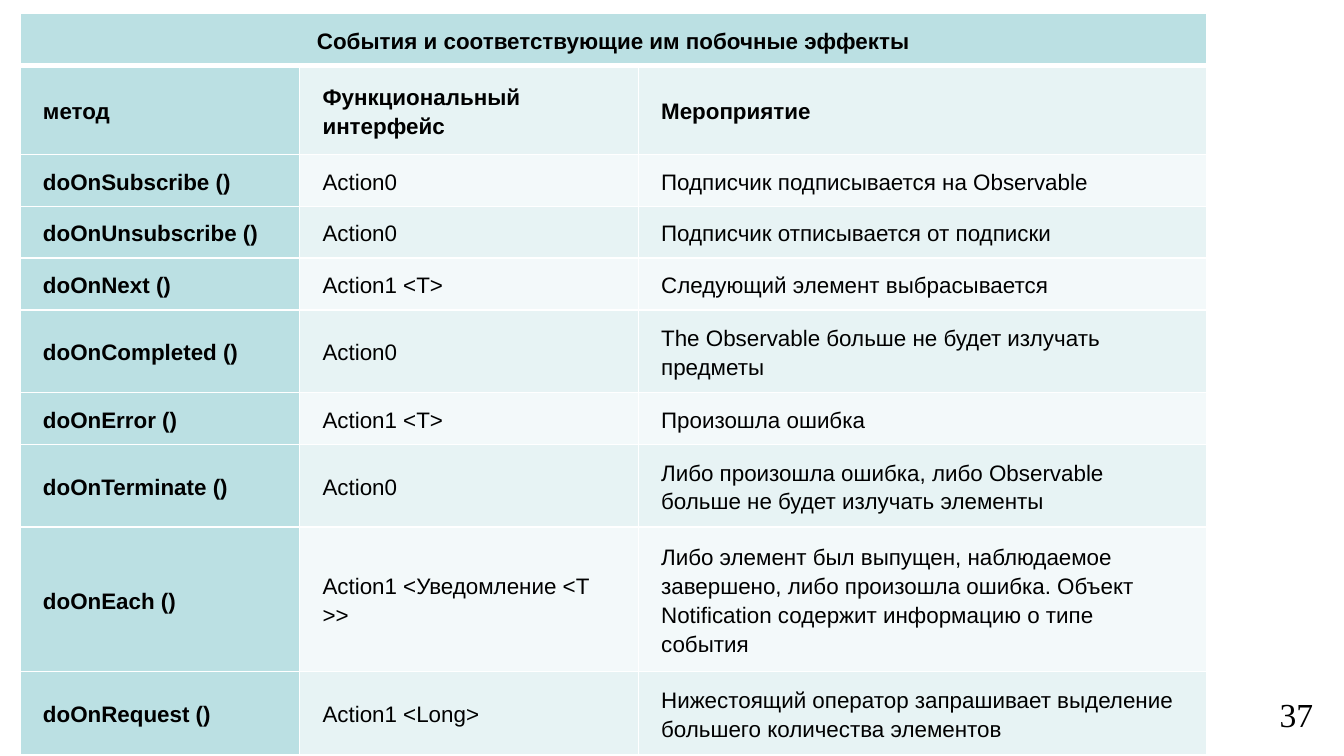
from typing import NamedTuple

from lxml.etree import SubElement as Sub
from pptx import Presentation
from pptx.dml.color import RGBColor
from pptx.enum.text import MSO_ANCHOR as Anchor, PP_ALIGN as Align
from pptx.oxml.ns import qn
from pptx.util import Inches, Pt

WIDE = 10
HIGH = WIDE * 9 / 16
TEAL, MIST, PALE = "BBE0E3", "E7F3F4", "F3F9FA"
WHITE, BLACK = "FFFFFF", "000000"
COLS = (2.08, 2.52, 4.23)
ONE, TWO, FOUR = 0.37, 0.58, 1.01  # row heights by lines of text
HARD = chr(160)  # no-break space
TITLE = "События и соответствующие им побочные эффекты"


class Row(NamedTuple):
    method: str
    face: str
    event: str
    high: float = ONE


ROWS = [
    Row(TITLE, "", "", 0.39),
    Row("метод", "Функциональный интерфейс", "Мероприятие", 0.66),
    Row("doOnSubscribe ()", "Action0", "Подписчик подписывается на Observable"),
    Row("doOnUnsubscribe ()", "Action0", "Подписчик отписывается от подписки"),
    Row("doOnNext ()", "Action1 <Т>", "Следующий элемент выбрасывается"),
    Row("doOnCompleted ()", "Action0",
        "The Observable больше не будет излучать предметы", TWO),
    Row("doOnError ()", "Action1 <Т>", "Произошла ошибка"),
    Row("doOnTerminate ()", "Action0",
        "Либо произошла ошибка, либо Observable больше не будет излучать элементы",
        TWO),
    Row("doOnEach ()", "Action1 <Уведомление <T >>",
        "Либо элемент был выпущен, наблюдаемое завершено, либо произошла ошибка."
        f"{HARD}Объект Notification содержит информацию о типе события", FOUR),
    Row("doOnRequest ()", "Action1 <Long>",
        "Нижестоящий оператор запрашивает выделение большего количества элементов",
        TWO),
]


def tint(code: str) -> RGBColor:
    return RGBColor.from_string(code)


def write(frame, text: str, *, size: float = 12, font: str = "Arial",
          bold: bool = False, align=Align.LEFT, space: float = 1.0) -> None:
    para = frame.paragraphs[0]
    para.alignment, para.line_spacing = align, space
    run = para.add_run()
    run.text = text
    run.font.size, run.font.name, run.font.bold = Pt(size), font, bold
    run.font.color.rgb = tint(BLACK)


def edge(cell, sides: dict[str, float]) -> None:
    """Draw white borders; they must precede the fill in the cell's XML."""
    props = cell._tc.get_or_add_tcPr()
    for side, width in sides.items():
        line = Sub(props, qn(f"a:ln{side}"), w=str(Pt(width)))
        Sub(Sub(line, qn("a:solidFill")), qn("a:srgbClr"), val=WHITE)


def paint(cell, color: str, top: float, base: float) -> None:
    edge(cell, {"L": 1, "R": 1, "T": top, "B": base})
    cell.fill.solid()
    cell.fill.fore_color.rgb = tint(color)
    cell.vertical_anchor = Anchor.MIDDLE
    cell.margin_left = cell.margin_right = Inches(0.17)
    cell.margin_top = cell.margin_bottom = Pt(5.6)


def draw_table(slide) -> None:
    high = sum(row.high for row in ROWS)
    table = slide.shapes.add_table(
        len(ROWS), len(COLS), Inches(0.15), Inches(0.1),
        Inches(sum(COLS)), Inches(high)).table
    for col, wide in zip(table.columns, COLS):
        col.width = Inches(wide)
    table.cell(0, 0).merge(table.cell(0, len(COLS) - 1))
    for r, row in enumerate(ROWS):
        table.rows[r].height = Inches(row.high)
        band = MIST if r % 2 else PALE
        for c, text in enumerate(row[:len(COLS)]):
            cell = table.cell(r, c)
            paint(cell, TEAL if r == 0 or c == 0 else band,
                  top=3 if r == 1 else 1, base=3 if r == 0 else 1)
            if text:
                write(cell.text_frame, text, bold=r < 2 or c == 0, space=1.15,
                      align=Align.LEFT if r else Align.CENTER)


def draw_number(slide, text: str) -> None:
    frame = slide.shapes.add_textbox(
        Inches(9.27), Inches(5.1), Inches(0.6), Inches(0.43)).text_frame
    frame.word_wrap = True
    frame.vertical_anchor = Anchor.MIDDLE
    frame.margin_left = frame.margin_right = Inches(0.1)
    frame.margin_top = frame.margin_bottom = Inches(0.1)
    write(frame, text, size=18, font="Times New Roman", align=Align.RIGHT)


def main() -> None:
    deck = Presentation()
    deck.slide_width, deck.slide_height = Inches(WIDE), Inches(HIGH)
    slide = deck.slides.add_slide(deck.slide_layouts[6])
    draw_number(slide, "37")
    draw_table(slide)
    deck.save("out.pptx")


if __name__ == "__main__":
    main()
